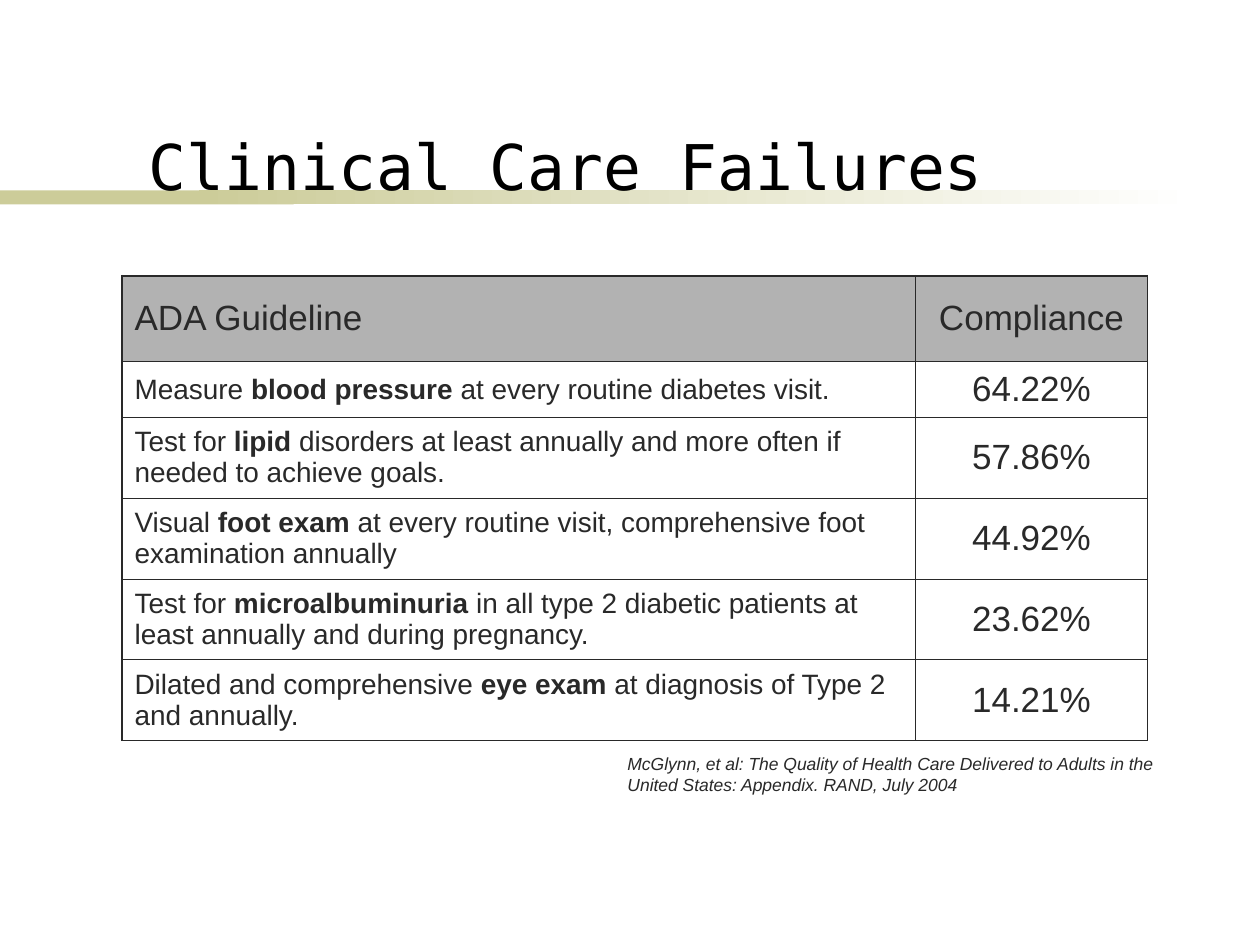
from dataclasses import dataclass

from lxml.etree import SubElement
from pptx import Presentation
from pptx.dml.color import RGBColor as RGB
from pptx.enum.shapes import MSO_SHAPE as Shape
from pptx.enum.text import MSO_ANCHOR as Anchor, MSO_AUTO_SIZE as AutoSize, PP_ALIGN as Align
from pptx.oxml.ns import qn
from pptx.util import Cm, Pt


@dataclass(frozen=True)
class Theme:
    title_font: str = "DejaVu Sans Mono"
    body_font: str = "Arial"
    title_color: str = "000000"
    ink: str = "292929"
    header_fill: str = "B2B2B2"
    bar: str = "CCCC99"
    bar_end: str = "FFFFFF"
    title_size: float = 36
    large: float = 20
    body: float = 16
    small: float = 10
    outer_line: float = 1.08
    inner_line: float = 0.45


@dataclass(frozen=True)
class Guideline:
    before: str
    topic: str
    after: str
    compliance: str


THEME = Theme()
GUIDELINES = [
    Guideline("Measure ", "blood pressure", " at every routine diabetes visit.", "64.22%"),
    Guideline("Test for ", "lipid ",
              "disorders at least annually and more often if needed to achieve goals.", "57.86%"),
    Guideline("Visual ", "foot exam",
              " at every routine visit, comprehensive foot examination annually", "44.92%"),
    Guideline("Test for ", "microalbuminuria ",
              "in all type 2 diabetic patients at least annually and during pregnancy.", "23.62%"),
    Guideline("Dilated and comprehensive ", "eye exam",
              " at diagnosis of Type 2 and annually.", "14.21%"),
]
COLUMN_WIDTHS = [16.0, 4.67]
ROW_HEIGHTS = [1.73, 1.12] + [1.63] * 4


def add_run(p, text: str, size: float, bold: bool = False, italic: bool = False,
            font: str = THEME.body_font, color: str = THEME.ink) -> None:
    r = p.add_run()
    r.text = text
    r.font.name = font
    r.font.size = Pt(size)
    r.font.bold = bold
    r.font.italic = italic
    r.font.color.rgb = RGB.from_string(color)


def add_bar(slide, left: float, width: float, fades: bool) -> None:
    sp = slide.shapes.add_shape(Shape.RECTANGLE, Cm(left), Cm(3.84), Cm(width), Cm(0.28))
    sp.shadow.inherit = False
    sp.line.fill.background()
    if fades:
        sp.fill.gradient()
        sp.fill.gradient_angle = 0
        for stop, color, position in zip(sp.fill.gradient_stops,
                                         (THEME.bar, THEME.bar_end), (0, 1)):
            stop.color.rgb = RGB.from_string(color)
            stop.position = position
    else:
        sp.fill.solid()
        sp.fill.fore_color.rgb = RGB.from_string(THEME.bar)


def format_title(slide, text: str) -> None:
    """Place the title in front of everything drawn so far."""
    title = slide.shapes.title
    title.left, title.top, title.width, title.height = Cm(2.74), Cm(0.28), Cm(20.52), Cm(3.94)
    tf = title.text_frame
    tf.auto_size = AutoSize.NONE
    tf.vertical_anchor = Anchor.BOTTOM
    p = tf.paragraphs[0]
    p.alignment = Align.LEFT
    add_run(p, text, THEME.title_size, font=THEME.title_font, color=THEME.title_color)
    title.element.getparent().append(title.element)


def set_borders(cell, outer_sides: set[str]) -> None:
    """Rule all four sides; must run before the cell's fill is set."""
    tc_pr = cell._tc.get_or_add_tcPr()
    for side in "LRTB":
        weight = THEME.outer_line if side in outer_sides else THEME.inner_line
        ln = SubElement(tc_pr, qn(f"a:ln{side}"), w=str(Pt(weight)))
        fill = SubElement(ln, qn("a:solidFill"))
        SubElement(fill, qn("a:srgbClr"), val=THEME.ink)


def add_guideline_table(slide) -> None:
    n_rows, n_cols = len(ROW_HEIGHTS), len(COLUMN_WIDTHS)
    table = slide.shapes.add_table(n_rows, n_cols, Cm(2.46), Cm(5.56),
                                   Cm(sum(COLUMN_WIDTHS)), Cm(sum(ROW_HEIGHTS))).table
    table.first_row = table.horz_banding = False
    for column, width in zip(table.columns, COLUMN_WIDTHS):
        column.width = Cm(width)
    for row, height in zip(table.rows, ROW_HEIGHTS):
        row.height = Cm(height)

    for i in range(n_rows):
        for j in range(n_cols):
            cell = table.cell(i, j)
            edges = {"T": i == 0, "B": i == n_rows - 1, "L": j == 0, "R": j == n_cols - 1}
            set_borders(cell, {side for side, is_outer in edges.items() if is_outer})
            cell.vertical_anchor = Anchor.MIDDLE
            cell.text_frame.paragraphs[0].alignment = Align.CENTER if j else Align.LEFT
            if i == 0:
                cell.fill.solid()
                cell.fill.fore_color.rgb = RGB.from_string(THEME.header_fill)
            else:
                cell.fill.background()

    for j, heading in enumerate(("ADA Guideline", "Compliance")):
        add_run(table.cell(0, j).text_frame.paragraphs[0], heading, THEME.large)
    for i, item in enumerate(GUIDELINES, start=1):
        p = table.cell(i, 0).text_frame.paragraphs[0]
        add_run(p, item.before, THEME.body)
        add_run(p, item.topic, THEME.body, bold=True)
        add_run(p, item.after, THEME.body)
        add_run(table.cell(i, 1).text_frame.paragraphs[0], item.compliance, THEME.large)


def add_citation(slide, text: str) -> None:
    tf = slide.shapes.add_textbox(Cm(12.4), Cm(15.06), Cm(11.81), Cm(1.12)).text_frame
    tf.word_wrap = True
    tf.auto_size = AutoSize.SHAPE_TO_FIT_TEXT
    add_run(tf.paragraphs[0], text, THEME.small, italic=True)


def main() -> None:
    prs = Presentation()
    prs.slide_width, prs.slide_height = Cm(25.4), Cm(19.05)
    slide = prs.slides.add_slide(prs.slide_layouts[5])
    add_bar(slide, 0, 5.92, fades=False)
    add_bar(slide, 4.01, 20.12, fades=True)
    format_title(slide, "Clinical Care Failures")
    add_guideline_table(slide)
    add_citation(slide, "McGlynn, et al: The Quality of Health Care Delivered to Adults "
                        "in the United States: Appendix. RAND, July 2004")
    prs.save("out.pptx")


if __name__ == "__main__":
    main()
